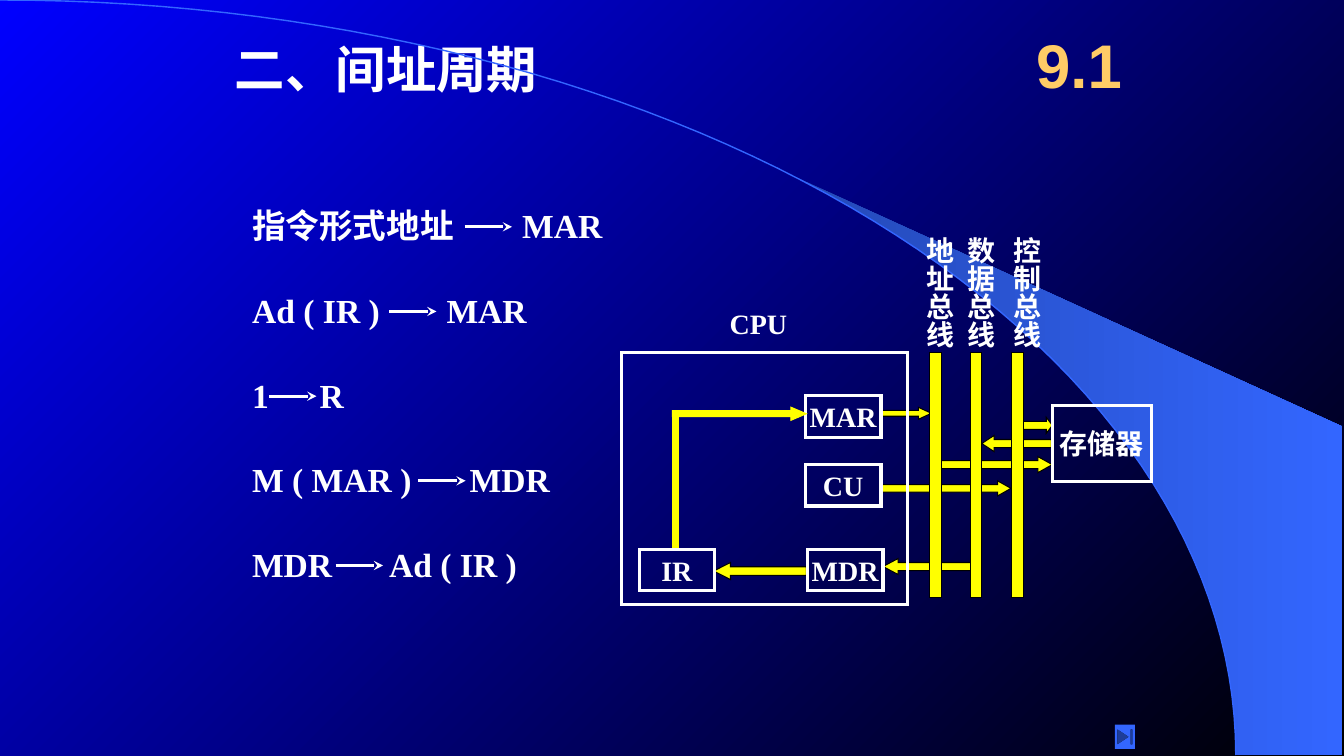
from math import asin, cos, pi, sin

from lxml.etree import SubElement
from pptx import Presentation
from pptx.dml.color import RGBColor
from pptx.enum.shapes import MSO_CONNECTOR, MSO_SHAPE
from pptx.enum.text import MSO_ANCHOR as ANCHOR, MSO_AUTO_SIZE as AUTO_SIZE, PP_ALIGN as ALIGN
from pptx.oxml.ns import qn
from pptx.util import Inches, Pt

WHITE = RGBColor(0xFF, 0xFF, 0xFF)
BLACK = RGBColor(0x00, 0x00, 0x00)
BLUE = RGBColor(0x00, 0x00, 0xFF)
YELLOW = RGBColor(0xFF, 0xFF, 0x00)
ORANGE = RGBColor(0xFF, 0xCC, 0x66)
SKY = RGBColor(0x33, 0x66, 0xFF)
DEEP_SKY = RGBColor(0x24, 0x49, 0xB6)
CELL = Inches(0.1)  # side of one square of the layout grid


def grid(*cells):
    return [round(cell * CELL) for cell in cells]


def write(paragraph, text, size, color=WHITE, font="Times New Roman"):
    run = paragraph.add_run()
    run.text = text
    run.font.name, run.font.size, run.font.bold = font, Pt(size), True
    run.font.color.rgb = color


presentation = Presentation()
presentation.slide_width, presentation.slide_height = grid(133.33, 75)
slide = presentation.slides.add_slide(presentation.slide_layouts[1])
shapes = slide.shapes

# Background: diagonal gradient, a light band and the arc along its edge
slide.background.fill.gradient()
ARC_WIDTH, ARC_HEIGHT, STEPS = 122.6, 74.9, 60
band_start = asin(78.6 / ARC_WIDTH)
outlines = []
for start, corners in [(band_start, [(133.1, 74.9), (133.1, 42.3)]), (0, [])]:
    angles = [start + (pi / 2 - start) * step / STEPS for step in range(STEPS + 1)]
    edge = [(ARC_WIDTH * sin(a), ARC_HEIGHT * (1 - cos(a))) for a in angles]
    points = [grid(*point) for point in edge + corners]
    builder = shapes.build_freeform(*points[0])
    builder.add_line_segments(points[1:], close=bool(corners))
    outline = builder.convert_to_shape()
    outline.shadow.inherit = False
    outlines.append(outline)
band, arc = outlines
band.fill.gradient()
band.line.fill.background()
arc.fill.background()
arc.line.color.rgb, arc.line.width = SKY, Pt(1)
for fill, angle, colors in [(slide.background.fill, 315, (BLUE, BLACK)),
                            (band.fill, 0, (DEEP_SKY, SKY))]:
    fill.gradient_angle = angle
    for stop, position, color in zip(fill.gradient_stops, (0, 1), colors):
        stop.position, stop.color.rgb = position, color

# Title, list of steps and section number
title, steps = shapes.title, slide.placeholders[1]
title.left, title.top, title.width, title.height = grid(23.3, 4.4, 35.4, 4.7)
steps.left, steps.top, steps.width, steps.height = grid(25, 20.2, 21, 38)
number = shapes.add_textbox(*grid(100.8, 1.7, 12.5, 9.2)).text_frame
number.word_wrap, number.vertical_anchor = True, ANCHOR.MIDDLE
number.paragraphs[0].alignment = ALIGN.CENTER
write(number.paragraphs[0], "9.1", 44, ORANGE, "Arial")

# Each step: source, target, arrow start and target start
transfers = [("指令形式地址", "MAR", 46.1, 51.8), ("Ad ( IR )", "MAR", 38.6, 44.3),
             ("1", "R", 26.7, 31.7), ("M ( MAR )", "MDR", 41.5, 46.6),
             ("MDR", "Ad ( IR )", 33.3, 38.6)]
plain_frames = [(title.text_frame, ANCHOR.MIDDLE), (steps.text_frame, ANCHOR.TOP)]
for row, (source, target, arrow_left, target_left) in enumerate(transfers):
    paragraph = steps.text_frame.add_paragraph() if row else steps.text_frame.paragraphs[0]
    paragraph.line_spacing = Pt(30)
    paragraph.space_before = Pt(30.5 if row else 0)
    properties = paragraph._p.get_or_add_pPr()
    properties.set("marL", "0")
    properties.set("indent", "0")
    SubElement(properties, qn("a:buNone"))
    write(paragraph, source, 24)

    y = 22.5 + 8.4 * row
    arrow = shapes.add_connector(MSO_CONNECTOR.STRAIGHT, *grid(arrow_left, y, arrow_left + 4.7, y))
    arrow.line.color.rgb, arrow.line.width = WHITE, Pt(2.25)
    SubElement(arrow.line._get_or_add_ln(), qn("a:tailEnd"), type="stealth")
    SubElement(arrow._element.spPr, qn("a:effectLst"))

    target_box = shapes.add_textbox(*grid(target_left, y - 2.5, 13, 4.7))
    write(target_box.text_frame.paragraphs[0], target, 24)
    plain_frames.append((target_box.text_frame, ANCHOR.MIDDLE))

for frame, anchor in plain_frames:
    frame.margin_left = frame.margin_right = frame.margin_top = frame.margin_bottom = 0
    frame.vertical_anchor, frame.auto_size, frame.word_wrap = anchor, AUTO_SIZE.NONE, False
heading = title.text_frame.paragraphs[0]
heading.alignment = ALIGN.LEFT
write(heading, "二、间址周期", 36)

# Data path, back to front: cells, arrow proportions, rotation, fill, line, label
BUS_TOP, BUS_HEIGHT = 35, 24.3
parts = [
    ((87.6, 55.4, 8.7, 1.6), (0.5, 0.94), 180, YELLOW, BLACK, ""),
    ((70.8, 55.8, 9.2, 1.7), (0.5, 0.98), 180, YELLOW, BLACK, ""),
    ((87.5, 47.7, 12.8, 1.5), (0.49, 0.89), 0, YELLOW, BLACK, ""),
    ((87.4, 40.4, 5, 1.2), (0.49, 1.08), 0, YELLOW, BLACK, ""),
    ((61.7, 35, 28.3, 25), None, 0, None, WHITE, ""),
    ((97.4, 43.2, 6.9, 1.6), (0.5, 0.76), 180, YELLOW, BLACK, ""),
    ((93.4, 45.3, 11, 1.6), (0.5, 0.9), 0, YELLOW, BLACK, ""),
    ((100.9, 41.4, 3.5, 1.6), (0.5, 0.38), 0, YELLOW, BLACK, ""),
    ((80.1, 54.5, 7.5, 4.1), None, 0, None, WHITE, "MDR"),
    ((79.9, 46.1, 7.5, 4.1), None, 0, None, WHITE, "CU"),
    ((79.9, 39.2, 7.5, 4.2), None, 0, None, WHITE, "MAR"),
    ((92.2, BUS_TOP, 1.2, BUS_HEIGHT), None, 0, YELLOW, BLACK, ""),
    ((96.3, BUS_TOP, 1.1, BUS_HEIGHT), None, 0, YELLOW, BLACK, ""),
    ((100.3, BUS_TOP, 1.2, BUS_HEIGHT), None, 0, YELLOW, BLACK, ""),
    ((63.4, 54.5, 7.5, 4.1), None, 0, None, WHITE, "IR"),
    ((104.4, 40.2, 9.8, 7.6), None, 0, None, WHITE, "存储器"),
    ((66.7, 40.9, 0.6, 13.4), None, 0, YELLOW, YELLOW, ""),
    ((66.7, 40.4, 13.3, 1.3), (0.46, 1.18), 0, YELLOW, YELLOW, ""),
]
for cells, proportions, rotation, fill, line, label in parts:
    kind = MSO_SHAPE.RIGHT_ARROW if proportions else MSO_SHAPE.RECTANGLE
    part = shapes.add_shape(kind, *grid(*cells))
    part.shadow.inherit = False
    part.rotation = rotation
    for index, proportion in enumerate(proportions or ()):
        part.adjustments[index] = proportion
    if fill is None:
        part.fill.background()
    else:
        part.fill.solid()
        part.fill.fore_color.rgb = fill
    part.line.color.rgb = line
    part.line.width = Pt(2.25 if line == WHITE else 0.75)
    SubElement(part.line._get_or_add_ln(), qn("a:miter"), lim="800000")
    if label:
        part.text_frame.word_wrap = False
        part.text_frame.vertical_anchor = ANCHOR.MIDDLE
        part.text_frame.paragraphs[0].alignment = ALIGN.CENTER
        write(part.text_frame.paragraphs[0], label, 20)

# Captions of the processor and the three buses
captions = [("CPU", (71.4, 29.9, 7.7, 4.3), "horz"), ("地址总线", (90, 22.5, 5.4, 12.3), "eaVert"),
            ("数据总线", (94, 22.5, 5.4, 12.3), "eaVert"), ("控制总线", (98.6, 22.5, 5.4, 12.3), "eaVert")]
for text, cells, direction in captions:
    frame = shapes.add_textbox(*grid(*cells)).text_frame
    frame.word_wrap, frame.auto_size = False, AUTO_SIZE.SHAPE_TO_FIT_TEXT
    frame._txBody.bodyPr.set("vert", direction)
    write(frame.paragraphs[0], text, 20)

# Button at the foot
button = shapes.add_shape(MSO_SHAPE.ACTION_BUTTON_END, *grid(110.6, 71.9, 2, 2.4))
button.shadow.inherit = False
button.fill.solid()
button.fill.fore_color.rgb = SKY
button.line.fill.background()

presentation.save("out.pptx")
